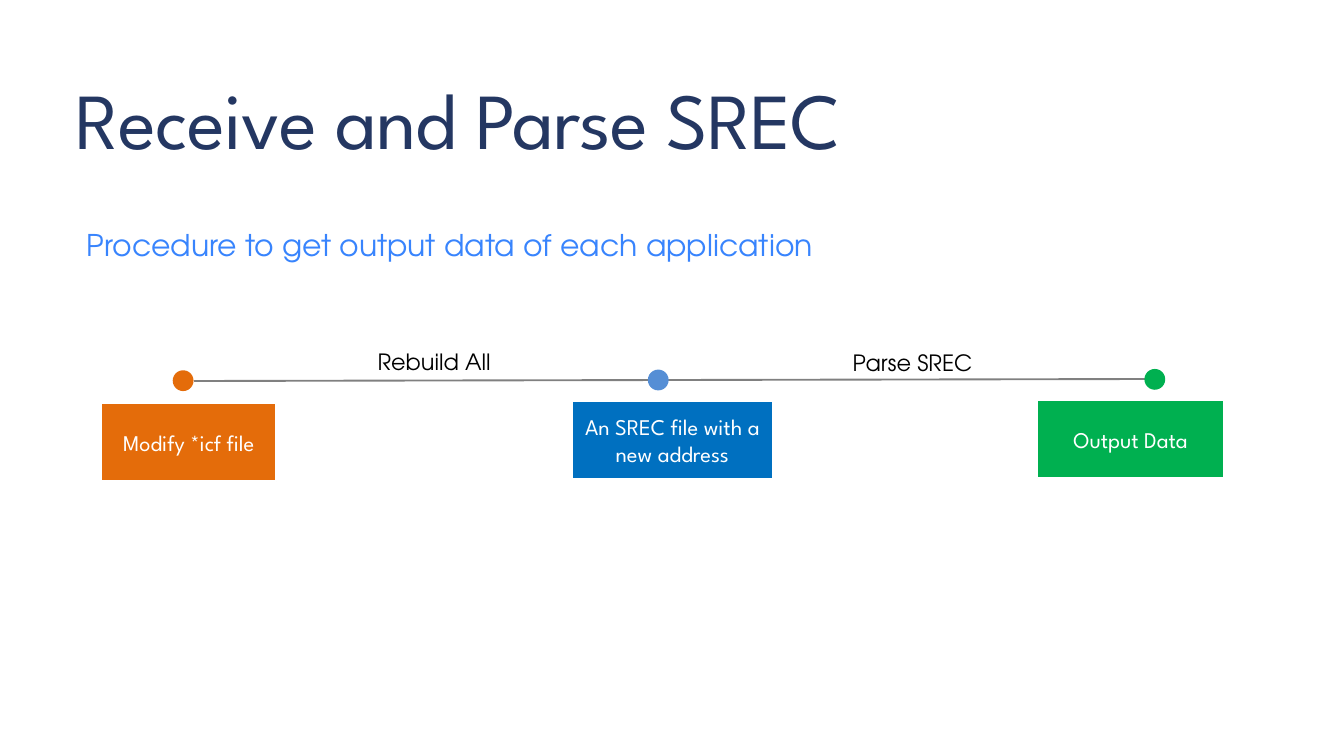
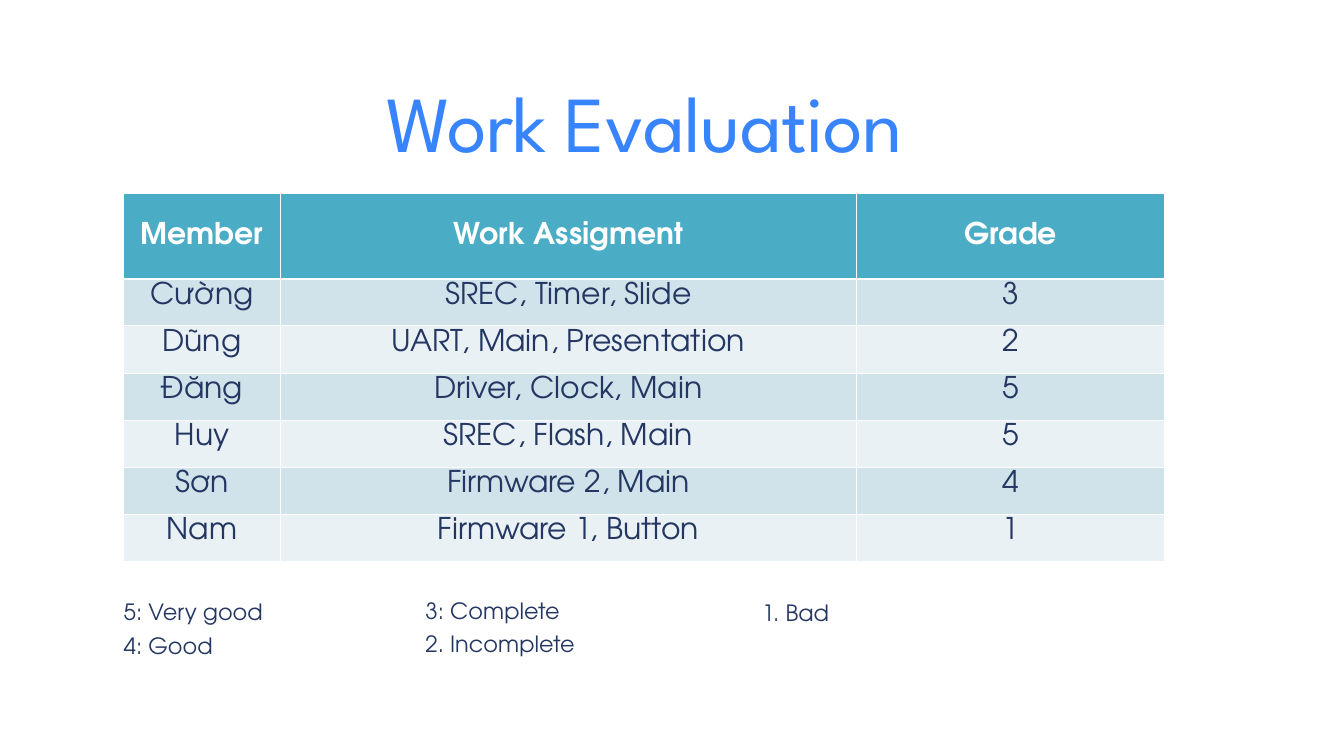
from dataclasses import dataclass
from typing import Optional

from lxml.etree import SubElement
from pptx import Presentation
from pptx.dml.color import RGBColor
from pptx.enum.shapes import MSO_CONNECTOR, MSO_SHAPE
from pptx.enum.text import MSO_ANCHOR as Anchor, MSO_AUTO_SIZE as AutoSize, PP_ALIGN as Align
from pptx.oxml.ns import qn
from pptx.util import Emu, Pt

EMU_PER_PX = 9144  # 100 px to the inch
HEADING_FONT = "League Spartan"
BODY_FONT = "TeX Gyre Adventor"
NAVY, BRIGHT_BLUE, WHITE, BLACK = "243762", "3884FD", "FFFFFF", "000000"
ORANGE, GREEN, BLUE, SOFT_BLUE = "E46C0A", "00B050", "0070C0", "558ED5"
LINE_GREY, HEADER_TEAL = "808080", "4BACC6"
BAND_FILLS = ("D0E3EA", "E9F1F5")


@dataclass(frozen=True)
class Box:
    left: int
    top: int
    width: int
    height: int

    def emu(self) -> tuple:
        return tuple(px(n) for n in (self.left, self.top, self.width, self.height))

    def inset(self, gap: int) -> "Box":
        return Box(self.left + gap, self.top + gap, self.width - 2 * gap, self.height - 2 * gap)


@dataclass(frozen=True)
class TextStyle:
    font: str
    size: int
    color: str
    bold: bool = False
    align: Align = Align.LEFT
    line_pt: Optional[float] = None
    tracking: Optional[int] = None  # hundredths of a point


@dataclass(frozen=True)
class Step:
    label: str
    box: Box
    fill: str
    dot: Box
    dot_fill: str


@dataclass(frozen=True)
class Caption:
    lines: tuple
    box: Box


STEP_TEXT = TextStyle(HEADING_FONT, 24, WHITE, align=Align.CENTER)
ACTION_TEXT = TextStyle(BODY_FONT, 24, BLACK)
LEGEND_TEXT = TextStyle(BODY_FONT, 24, NAVY, line_pt=36)
SUBTITLE_TEXT = TextStyle(BODY_FONT, 32, BRIGHT_BLUE, line_pt=38.4)
HEADER_TEXT = TextStyle(BODY_FONT, 32, WHITE, bold=True, align=Align.CENTER)
MEMBER_TEXT = TextStyle(BODY_FONT, 32, NAVY, align=Align.CENTER)

DOT_SIZE, DOT_INSET = 31, 8
STEPS = (
    Step("Modify *icf file", Box(151, 600, 260, 116), ORANGE,
         Box(257, 551, DOT_SIZE, DOT_SIZE), ORANGE),
    Step("Output Data", Box(1544, 596, 277, 116), GREEN,
         Box(1703, 549, DOT_SIZE, DOT_SIZE), GREEN),
    Step("An SREC file with a new address", Box(851, 597, 299, 116), BLUE,
         Box(964, 550, DOT_SIZE, DOT_SIZE), SOFT_BLUE),
)
ACTIONS = (
    Caption(("Rebuild All",), Box(552, 513, 241, 50)),
    Caption(("Parse SREC",), Box(1259, 514, 241, 50)),
)
LEGEND = (
    Caption(("5: Very good", "4: Good"), Box(184, 880, 374, 98)),
    Caption(("3: Complete", "2. Incomplete"), Box(633, 878, 425, 98)),
    Caption(("1. Bad",), Box(1134, 882, 425, 48)),
)
EVALUATION = (
    ("Member", "Work Assigment", "Grade"),
    ("Cường", "SREC, Timer, Slide", "3"),
    ("Dũng", "UART, Main, Presentation", "2"),
    ("Đăng", "Driver, Clock, Main", "5"),
    ("Huy", "SREC, Flash, Main", "5"),
    ("Sơn", "Firmware 2, Main", "4"),
    ("Nam", "Firmware 1, Button", "1"),
)
COLUMN_WIDTHS = (233, 858, 458)
HEADER_HEIGHT, MEMBER_HEIGHT = 127, 70


def px(length: int) -> Emu:
    return Emu(length * EMU_PER_PX)


def rgb(color: str) -> RGBColor:
    return RGBColor.from_string(color)


def write(frame, lines: tuple, style: TextStyle) -> None:
    for index, line in enumerate(lines):
        paragraph = frame.add_paragraph() if index else frame.paragraphs[0]
        paragraph.alignment = style.align
        if style.line_pt:
            paragraph.line_spacing = Pt(style.line_pt)
        run = paragraph.add_run()
        run.text = line
        run.font.name, run.font.size, run.font.bold = style.font, Pt(style.size), style.bold
        run.font.color.rgb = rgb(style.color)
        if style.tracking is not None:
            run._r.get_or_add_rPr().set("spc", str(style.tracking))


def add_text(slide, lines: tuple, box: Box, style: TextStyle, padded: bool = False) -> None:
    frame = slide.shapes.add_textbox(*box.emu()).text_frame
    frame.word_wrap = True
    frame.auto_size = AutoSize.SHAPE_TO_FIT_TEXT
    if not padded:
        frame.margin_left = frame.margin_top = frame.margin_right = frame.margin_bottom = 0
    write(frame, lines, style)


def add_title(slide, title: str, box: Box, color: str, align: Align, line_pt: float) -> None:
    style = TextStyle(HEADING_FONT, 85, color, align=align, line_pt=line_pt, tracking=-80)
    add_text(slide, (title,), box, style)


def add_filled(shapes, preset: MSO_SHAPE, box: Box, fill: str):
    shape = shapes.add_shape(preset, *box.emu())
    shape.shadow.inherit = False
    shape.fill.solid()
    shape.fill.fore_color.rgb = rgb(fill)
    shape.line.fill.background()
    return shape


def add_timeline(slide, start: tuple, end: tuple) -> None:
    timeline = slide.shapes.add_connector(
        MSO_CONNECTOR.STRAIGHT, *(px(n) for n in start + end))
    timeline.line.color.rgb = rgb(LINE_GREY)
    timeline.line.width = Pt(2)
    SubElement(timeline._element.spPr, qn("a:effectLst"))


def add_step(slide, step: Step) -> None:
    marker = slide.shapes.add_group_shape()
    for circle in (step.dot, step.dot.inset(DOT_INSET)):
        add_filled(marker.shapes, MSO_SHAPE.OVAL, circle, step.dot_fill)
    card = add_filled(slide.shapes, MSO_SHAPE.RECTANGLE, step.box, step.fill)
    card.line.color.rgb = rgb(WHITE)
    card.line.width = Pt(2)
    card.text_frame.word_wrap = True
    card.text_frame.vertical_anchor = Anchor.MIDDLE
    write(card.text_frame, (step.label,), STEP_TEXT)


def add_borders(cell, bottom_pt: int) -> None:
    """Draw white cell borders; call before the fill, which must follow them."""
    properties = cell._tc.get_or_add_tcPr()
    for side, width in (("L", 1), ("R", 1), ("T", 1), ("B", bottom_pt)):
        border = SubElement(properties, qn(f"a:ln{side}"), w=str(Pt(width)))
        SubElement(SubElement(border, qn("a:solidFill")), qn("a:srgbClr"), val=WHITE)


def add_evaluation(slide, left: int, top: int) -> None:
    heights = [HEADER_HEIGHT] + [MEMBER_HEIGHT] * (len(EVALUATION) - 1)
    box = Box(left, top, sum(COLUMN_WIDTHS), sum(heights))
    table = slide.shapes.add_table(len(heights), len(COLUMN_WIDTHS), *box.emu()).table
    table.horz_banding = False
    for column, width in zip(table.columns, COLUMN_WIDTHS):
        column.width = px(width)
    for index, (row, height, entries) in enumerate(zip(table.rows, heights, EVALUATION)):
        row.height = px(height)
        is_header = index == 0
        fill = HEADER_TEAL if is_header else BAND_FILLS[(index - 1) % 2]
        for cell, entry in zip(row.cells, entries):
            add_borders(cell, 3 if is_header else 1)
            cell.fill.solid()
            cell.fill.fore_color.rgb = rgb(fill)
            cell.vertical_anchor = Anchor.MIDDLE if is_header else Anchor.TOP
            write(cell.text_frame, (entry,), HEADER_TEXT if is_header else MEMBER_TEXT)


def build_procedure(slide) -> None:
    add_title(slide, "Receive and Parse SREC", Box(112, 140, 1521, 116), NAVY, Align.LEFT, 76.5)
    add_timeline(slide, (289, 567), (1715, 564))
    for step in STEPS:
        add_step(slide, step)
    add_text(slide, ("Procedure to get output data of each application",),
             Box(129, 338, 1082, 53), SUBTITLE_TEXT)
    for action in ACTIONS:
        add_text(slide, action.lines, action.box, ACTION_TEXT, padded=True)


def build_evaluation(slide) -> None:
    add_title(slide, "Work Evaluation", Box(184, 120, 1550, 135), BRIGHT_BLUE, Align.CENTER, 93.5)
    add_evaluation(slide, 184, 288)
    for grades in LEGEND:
        add_text(slide, grades.lines, grades.box, LEGEND_TEXT)


def main() -> None:
    deck = Presentation()
    deck.slide_width, deck.slide_height = px(2000), px(1125)
    blank = deck.slide_layouts[6]
    for build in (build_procedure, build_evaluation):
        build(deck.slides.add_slide(blank))
    deck.save("out.pptx")


if __name__ == "__main__":
    main()
